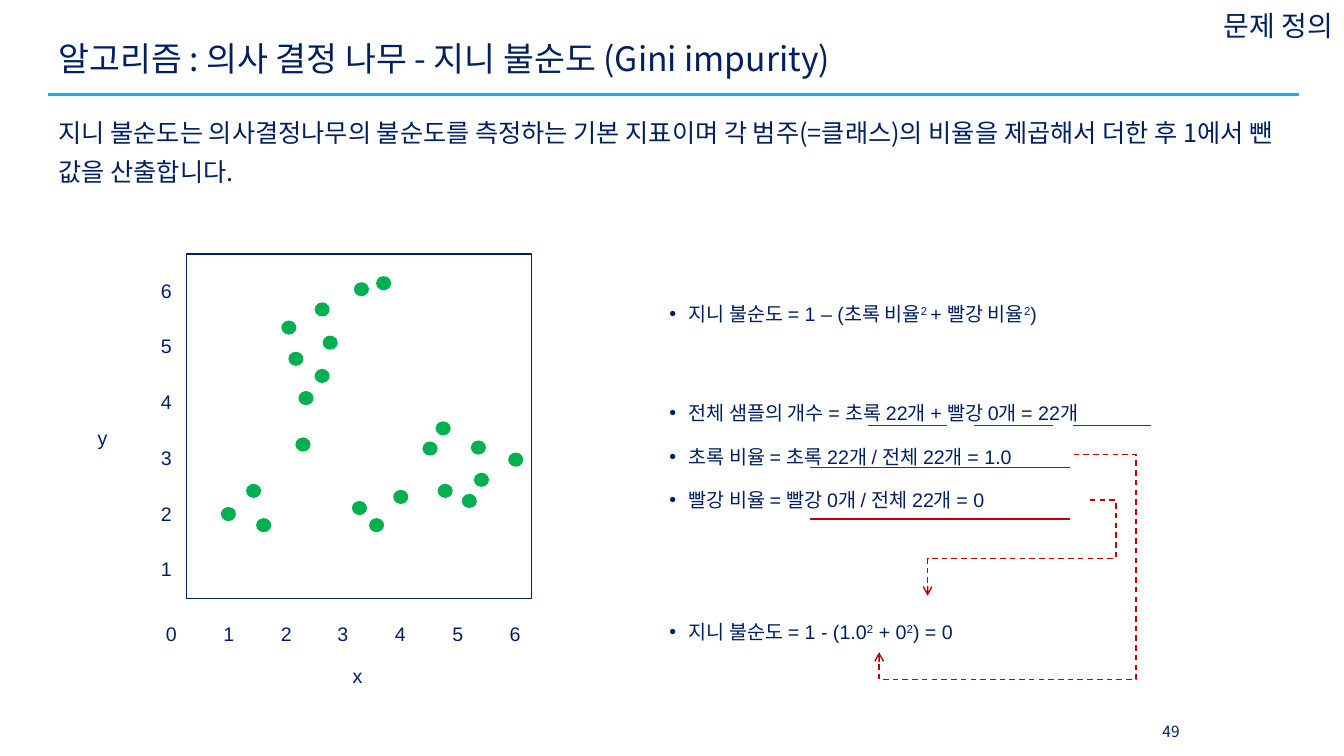
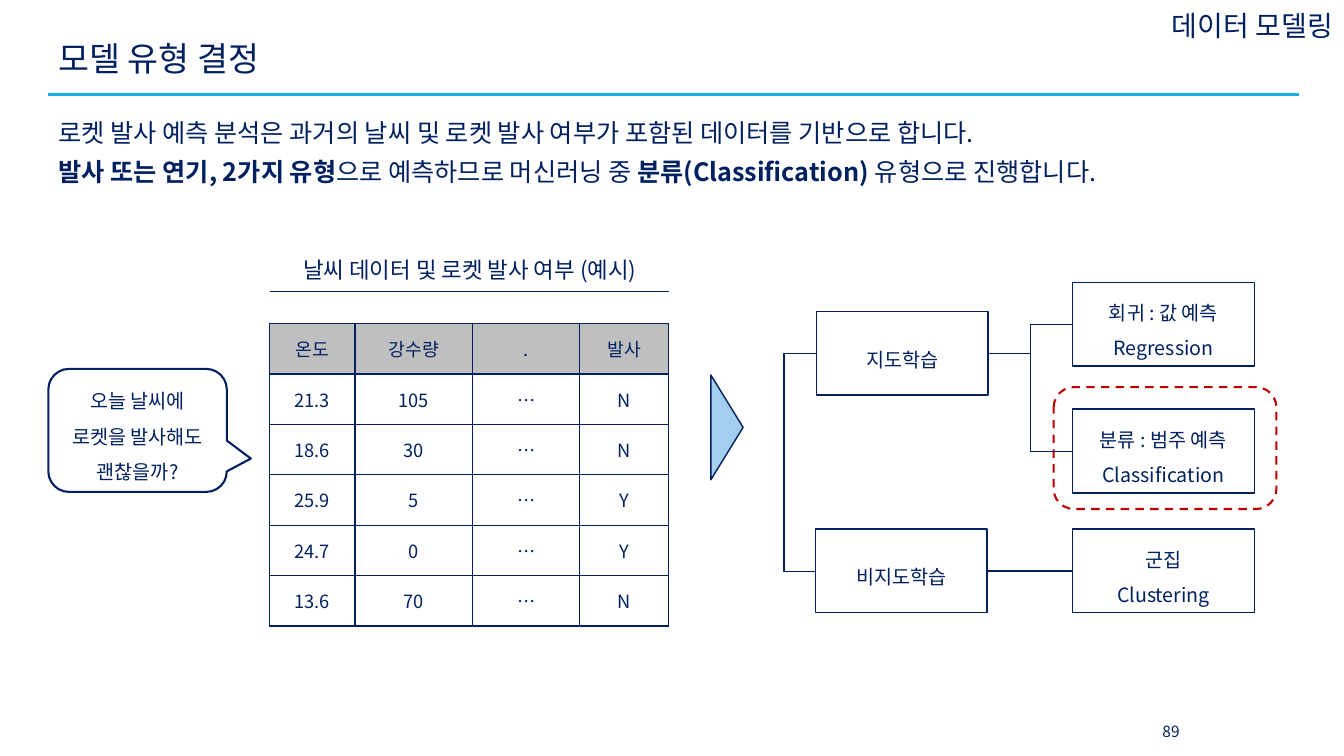
"""Build two lecture slides: Gini impurity and choosing a model type."""
from dataclasses import dataclass

from lxml import etree
from pptx import Presentation
from pptx.dml.color import RGBColor
from pptx.enum.dml import MSO_LINE
from pptx.enum.shapes import MSO_CONNECTOR, MSO_SHAPE
from pptx.enum.text import MSO_ANCHOR, MSO_AUTO_SIZE, PP_ALIGN
from pptx.oxml.ns import qn
from pptx.util import Pt

PX = 9144
LEFT, CENTER, RIGHT = PP_ALIGN.LEFT, PP_ALIGN.CENTER, PP_ALIGN.RIGHT
TOP, MIDDLE = MSO_ANCHOR.TOP, MSO_ANCHOR.MIDDLE
STRAIGHT, ELBOW = MSO_CONNECTOR.STRAIGHT, MSO_CONNECTOR.ELBOW
RECTANGLE, OVAL, TRIANGLE = MSO_SHAPE.RECTANGLE, MSO_SHAPE.OVAL, MSO_SHAPE.ISOSCELES_TRIANGLE
ROUNDED, CALLOUT = MSO_SHAPE.ROUNDED_RECTANGLE, MSO_SHAPE.ROUNDED_RECTANGULAR_CALLOUT
DASH = MSO_LINE.DASH
SIDE_LEFT, SIDE_RIGHT = 1, 3


@dataclass(frozen=True)
class Theme:
    navy: str = "002060"
    blue: str = "1CADE4"
    red: str = "C00000"
    green: str = "00B050"
    sky: str = "A3CEED"
    gray: str = "BFBFBF"
    korean: str = "Noto Sans CJK KR"
    latin: str = "Arial"
    title: int = 24
    section: int = 20
    lead: int = 18
    caption: int = 16
    label: int = 14
    cell: int = 13
    number: int = 11


THEME = Theme()


def write(frame, paragraphs, size, font=THEME.korean, align=LEFT, spacing=1.0, before=0,
          bullet=None, anchor=TOP, emphasis="bold", margins=(10, 5, 10, 5)):
    sides = ("margin_left", "margin_top", "margin_right", "margin_bottom")
    settings = {"word_wrap": True, "auto_size": MSO_AUTO_SIZE.NONE, "vertical_anchor": anchor}
    settings.update(zip(sides, (margin * PX for margin in margins)))
    for name, value in settings.items():
        setattr(frame, name, value)
    for index, parts in enumerate(paragraphs):
        paragraph = frame.add_paragraph() if index else frame.paragraphs[0]
        properties = paragraph._p.get_or_add_pPr()
        indent = 19 * PX if bullet else 0
        properties.set("marL", str(indent))
        properties.set("indent", str(-indent))
        if bullet:
            etree.SubElement(properties, qn("a:buFont"), typeface=THEME.latin)
            etree.SubElement(properties, qn("a:buChar"), char=bullet)
        else:
            etree.SubElement(properties, qn("a:buNone"))
        layout_values = {"alignment": align, "line_spacing": spacing,
                         "space_before": Pt(before if index else 0)}
        for name, value in layout_values.items():
            setattr(paragraph, name, value)
        for position, text in enumerate([parts] if isinstance(parts, str) else parts):
            run = paragraph.add_run()
            run.text = text.rstrip("\n")
            if text.endswith("\n"):
                paragraph.add_line_break()
            emphasized = position % 2 == 1
            font_values = {"size": Pt(size), "name": font,
                           "bold": emphasized and emphasis == "bold"}
            for name, value in font_values.items():
                setattr(run.font, name, value)
            run.font.color.rgb = RGBColor.from_string(THEME.navy)
            run_properties = run._r.get_or_add_rPr()
            run_properties.set("kern", "0")
            etree.SubElement(run_properties, qn("a:ea"), typeface=THEME.korean)
            if emphasized and emphasis == "superscript":
                run_properties.set("baseline", "30000")


def connect(slide, kind, points, color=THEME.navy, width=1.0, preset=None,
            adjustments=(), arrow=False):
    connector = slide.shapes.add_connector(kind, *(point * PX for point in points))
    connector.line.color.rgb = RGBColor.from_string(color)
    connector.line.width = Pt(width)
    geometry = connector._element.spPr.find(qn("a:prstGeom"))
    if preset:
        geometry.set("prst", preset)
    if adjustments:
        guides = geometry.find(qn("a:avLst"))
        if guides is None:
            guides = etree.SubElement(geometry, qn("a:avLst"))
        for number, value in enumerate(adjustments, 1):
            etree.SubElement(guides, qn("a:gd"), name=f"adj{number}",
                             fmla=f"val {round(value * 100000)}")
    if arrow:
        connector.line.dash_style = DASH
        etree.SubElement(connector.line._get_or_add_ln(), qn("a:tailEnd"), type="arrow")
    etree.SubElement(connector._element.spPr, qn("a:effectLst"))
    return connector


presentation = Presentation()
presentation.slide_width = 1333 * PX
presentation.slide_height = 750 * PX
layout = presentation.slide_layouts[1]
for holder in (layout, presentation.slide_master):
    title_holder, body_holder, *footers = holder.placeholders
    for footer in footers:
        footer._element.getparent().remove(footer._element)
    for placeholder, box in [(title_holder, (48, 29, 1240, 63)),
                             (body_holder, (48, 102, 1240, 126))]:
        for name, value in zip(("left", "top", "width", "height"), box):
            setattr(placeholder, name, value * PX)

PAGES = [
    ("알고리즘 : 의사 결정 나무 - 지니 불순도 (Gini impurity)", "문제 정의", "49",
     "지니 불순도는 의사결정나무의 불순도를 측정하는 기본 지표이며 각 범주(=클래스)의 비율을 "
     "제곱해서 더한 후 1에서 뺀 값을 산출합니다."),
    ("모델 유형 결정", "데이터 모델링", "89",
     ["로켓 발사 예측 분석은 과거의 날씨 및 로켓 발사 여부가 포함된 데이터를 기반으로 합니다.\n",
      "발사 또는 연기, 2가지 유형", "으로 예측하므로 머신러닝 중 ",
      "분류(Classification) ", "유형으로 진행합니다."]),
]
slides = []
text_boxes = []
for title, section, number, lead in PAGES:
    slide = presentation.slides.add_slide(layout)
    slides.append(slide)
    write(slide.shapes.title.text_frame, [title], THEME.title, spacing=0.9, anchor=MIDDLE)
    write(slide.placeholders[1].text_frame, [lead], THEME.lead, spacing=1.3)
    text_boxes += [
        (slide, (1130, 706, 63, 40), [number],
         {"size": THEME.number, "align": CENTER, "anchor": MIDDLE}),
        (slide, (926, 4, 406, 43), [section],
         {"size": THEME.section, "align": RIGHT, "anchor": MIDDLE}),
    ]
gini, model = slides
title_rule = connect(gini, STRAIGHT, (48, 94, 1288, 94), THEME.blue, 2.25)
layout.shapes._spTree.append(title_rule._element)

AXIS = {"size": THEME.label, "font": THEME.latin, "spacing": 1.5, "margins": (10, 12, 10, 5)}
TICK = {**AXIS, "align": CENTER}
FORMULA = {**AXIS, "bullet": "•", "before": 6, "emphasis": "superscript"}
text_boxes += [
    (gini, (654, 276, 532, 48),
     [["지니 불순도 = 1 – (초록 비율", "2 ", "+ 빨강 비율", "2", ")"]], FORMULA),
    (gini, (654, 374, 532, 135),
     ["전체 샘플의 개수 = 초록 22개 + 빨강 0개 = 22개",
      "초록 비율 = 초록 22개 / 전체 22개 = 1.0",
      "빨강 비율 = 빨강 0개 / 전체 22개 = 0"], FORMULA),
    (gini, (654, 591, 532, 48),
     [["지니 불순도 = 1 - (1.0", "2", " + 0", "2", ") = 0"]], FORMULA),
    (gini, (87, 399, 81, 48), ["y"], AXIS),
    (gini, (340, 635, 81, 48), ["x"], AXIS),
    (model, (268, 246, 396, 43), ["날씨 데이터 및 로켓 발사 여부 (예시)"],
     {"size": THEME.caption, "align": CENTER, "anchor": MIDDLE}),
]
for tick in range(7):
    text_boxes.append((gini, (150 + round(tick * 56.8), 593, 40, 41), [str(tick)], TICK))
    if tick:
        text_boxes.append((gini, (145, 529 - round((tick - 1) * 55.2), 40, 41), [str(tick)], TICK))
for slide, box, paragraphs, style in text_boxes:
    text_box = slide.shapes.add_textbox(*(value * PX for value in box))
    write(text_box.text_frame, paragraphs, **style)

SAMPLES = [
    (219, 503), (296, 388), (293, 434), (244, 480), (286, 349), (279, 318), (373, 274),
    (320, 333), (312, 366), (349, 497), (366, 514), (390, 486), (434, 480), (467, 437),
    (504, 449), (458, 490), (419, 438), (432, 418), (254, 514), (351, 280), (312, 300),
    (470, 469),
]
OUTLINE = {"line": THEME.navy}
BOX_TEXT = {"size": THEME.label, "align": CENTER, "spacing": 1.5, "anchor": MIDDLE}
shape_specs = [
    (gini, "plot", RECTANGLE, (185, 252, 342, 342), OUTLINE),
    (model, "supervised", RECTANGLE, (810, 309, 170, 83), {**OUTLINE, "text": ["지도학습"]}),
    (model, "unsupervised", RECTANGLE, (809, 525, 170, 83), {**OUTLINE, "text": ["비지도학습"]}),
    (model, "regression", RECTANGLE, (1064, 280, 180, 83),
     {**OUTLINE, "text": ["회귀 : 값 예측", "Regression"]}),
    (model, "classification", RECTANGLE, (1064, 406, 180, 83),
     {**OUTLINE, "text": ["분류 : 범주 예측", "Classification"]}),
    (model, "clustering", RECTANGLE, (1064, 525, 180, 83),
     {**OUTLINE, "text": ["군집", "Clustering"]}),
    (model, "pointer", TRIANGLE, (669, 408, 104, 32),
     {**OUTLINE, "fill": THEME.sky, "rotation": 90}),
    (model, "highlight", ROUNDED, (1045, 384, 221, 121),
     {"line": THEME.red, "width": 1.5, "dash": DASH}),
    (model, "question", CALLOUT, (48, 366, 177, 122),
     {**OUTLINE, "width": 1.5, "adjustments": (0.635, 0.229, 0.167), "margins": (4, 5, 4, 5),
      "text": ["오늘 날씨에", "로켓을 발사해도", "괜찮을까?"]}),
]
for left, top in SAMPLES:
    shape_specs.append((gini, "sample", OVAL, (left, top, 15, 14), {"fill": THEME.green}))
drawn = {}
for slide, name, kind, box, style in shape_specs:
    shape = slide.shapes.add_shape(kind, *(value * PX for value in box))
    shape.shadow.inherit = False
    shape.rotation = style.get("rotation", 0)
    if "fill" in style:
        shape.fill.solid()
        shape.fill.fore_color.rgb = RGBColor.from_string(style["fill"])
    else:
        shape.fill.background()
    if "line" in style:
        shape.line.color.rgb = RGBColor.from_string(style["line"])
        shape.line.width = Pt(style.get("width", 1))
        shape.line.dash_style = style.get("dash")
    else:
        shape.line.fill.background()
    for index, value in enumerate(style.get("adjustments", ())):
        shape.adjustments[index] = value
    if "text" in style:
        write(shape.text_frame, style["text"], margins=style.get("margins", (10, 5, 10, 5)),
              **BOX_TEXT)
    drawn[name] = shape

for left, right, top in [(861, 939, 422), (966, 1044, 422), (1064, 1142, 422),
                         (803, 1061, 464), (803, 1061, 515)]:
    connect(gini, STRAIGHT, (left, top, right, top), THEME.red)
for points, adjustments in [((1065, 451, 872, 647), (-0.32, 1.14)),
                            ((1081, 496, 920, 591), (-0.16, 0.61))]:
    connect(gini, ELBOW, points, THEME.red, preset="bentConnector4",
            adjustments=adjustments, arrow=True)

connect(model, STRAIGHT, (268, 289, 664, 289))
connect(model, ELBOW, (809, 567, 810, 351), adjustments=(-32,))
for middle in (322, 448):
    connect(model, ELBOW, (980, 351, 1064, middle))
cluster_link = connect(model, STRAIGHT, (979, 567, 1064, 567))
cluster_link.begin_connect(drawn["unsupervised"], SIDE_RIGHT)
cluster_link.end_connect(drawn["clustering"], SIDE_LEFT)

WEATHER = [
    ("온도", "강수량", ".", "발사"),
    ("21.3", "105", "…", "N"),
    ("18.6", "30", "…", "N"),
    ("25.9", "5", "…", "Y"),
    ("24.7", "0", "…", "Y"),
    ("13.6", "70", "…", "N"),
]
table = model.shapes.add_table(6, 4, 267 * PX, 321 * PX, 396 * PX, 300 * PX).table
table.first_row = False
table.horz_banding = False
for column, width in zip(table.columns, (85, 117, 106, 88)):
    column.width = width * PX
for row_index, values in enumerate(WEATHER):
    for column_index, value in enumerate(values):
        cell = table.cell(row_index, column_index)
        write(cell.text_frame, [value], THEME.cell, align=CENTER)
        cell.vertical_anchor = MIDDLE
        cell_properties = cell._tc.get_or_add_tcPr()
        for side in ("lnL", "lnR", "lnT", "lnB"):
            border = etree.SubElement(cell_properties, qn(f"a:{side}"), w=str(Pt(1)))
            border_fill = etree.SubElement(border, qn("a:solidFill"))
            etree.SubElement(border_fill, qn("a:srgbClr"), val=THEME.navy)
        if row_index:
            cell.fill.background()
        else:
            cell.fill.solid()
            cell.fill.fore_color.rgb = RGBColor.from_string(THEME.gray)

presentation.save("out.pptx")
